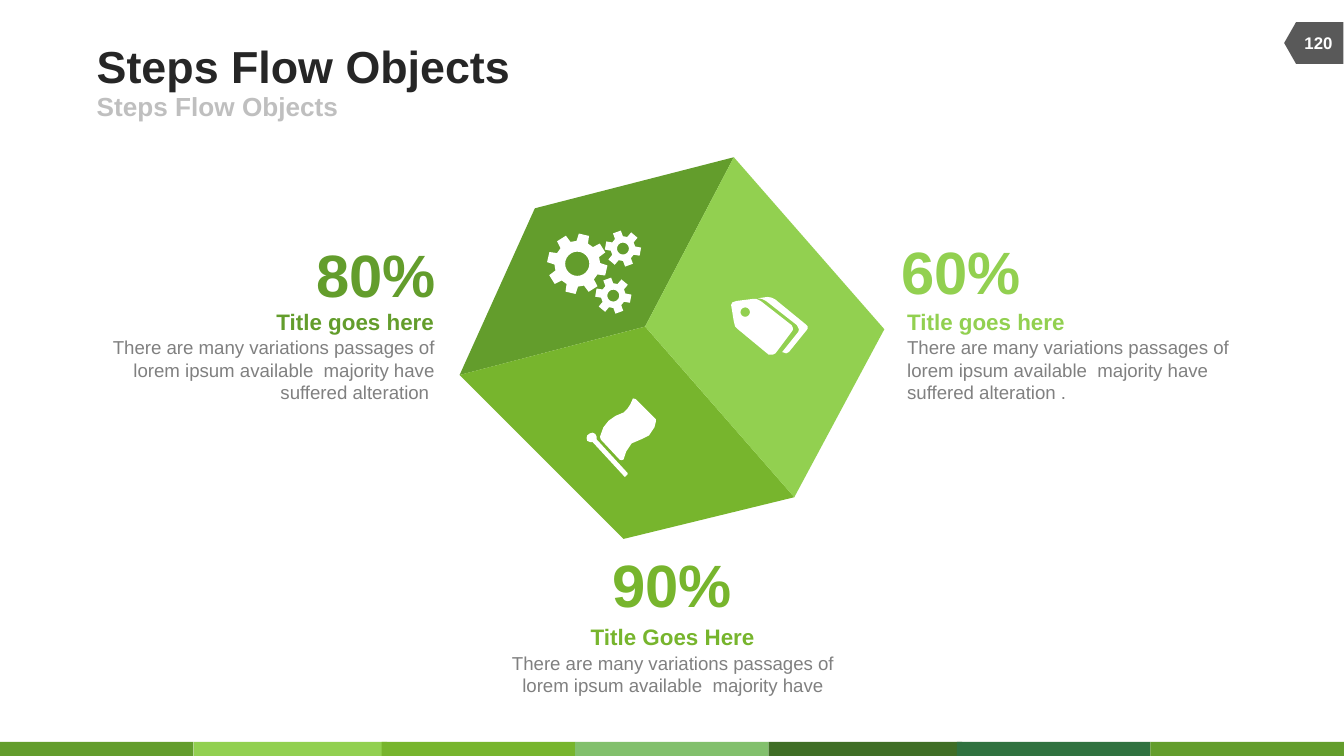
from math import cos, sin, radians

from pptx import Presentation
from pptx.dml.color import RGBColor
from pptx.enum.shapes import MSO_SHAPE
from pptx.enum.text import MSO_ANCHOR, PP_ALIGN
from pptx.util import Inches, Pt

THEME = {
    "font": "Arial",
    "colors": {
        "forest": "639D2C", "lime": "92D050", "grass": "77B52D", "sage": "82C06C",
        "moss": "406E26", "pine": "307240", "white": "FFFFFF", "marker": "595959",
        "title": "262626", "subtitle": "BFBFBF", "body": "808080",
    },
    "sizes": {"title": 24, "subtitle": 14, "page": 9, "number": 32, "heading": 12, "body": 10},
}

# All lengths are cells of a grid with 1000 columns across the slide
WIDTH = Inches(10)
HEIGHT = int(WIDTH * 9 / 16)
COLUMNS = 1000
CELL = WIDTH / COLUMNS

# Content
TITLE = SUBTITLE = "Steps Flow Objects"
PAGE = "120"
STEPS = [
    {"number": "80%", "number_at": (235, 176), "heading": "Title goes here",
     "body": "There are many variations passages of lorem ipsum available  majority have"
             "\vsuffered alteration ",
     "color": "forest", "align": PP_ALIGN.RIGHT, "left": 78, "top": 229, "width": 245},
    {"number": "60%", "number_at": (670, 174), "heading": "Title goes here",
     "body": "There are many variations passages of lorem ipsum available  majority have "
             "suffered alteration .",
     "color": "lime", "align": PP_ALIGN.LEFT, "left": 675, "top": 229, "width": 254},
    {"number": "90%", "number_at": (455, 407), "heading": "Title Goes Here",
     "body": "There are many variations passages of lorem ipsum available  majority have",
     "color": "grass", "align": PP_ALIGN.CENTER, "left": 366, "top": 464, "width": 269},
]
FOOTER = [(0, "forest"), (144, "lime"), (284, "grass"), (428, "sage"),
          (572, "moss"), (712, "pine"), (856, "forest")]

# Cube corners, shared by the three faces
TOP, RIGHT, LOWER_RIGHT, BOTTOM = (546, 117), (658, 245), (591, 370), (464, 401)
LEFT, UPPER_LEFT, CENTER = (342, 279), (398, 155), (480, 243)
FACES = [
    ("forest", [TOP, CENTER, LEFT, UPPER_LEFT]),
    ("grass", [CENTER, LOWER_RIGHT, BOTTOM, LEFT]),
    ("lime", [CENTER, TOP, RIGHT, LOWER_RIGHT]),
]

# Gears: center x, center y, tip radius, root radius, hole radius, teeth, first angle
GEARS = [
    (429.5, 196.3, 22.5, 17, 9, 8, 13),
    (463.5, 185, 13.5, 9.2, 4.4, 6, 10),
    (456.3, 220, 13.5, 9.2, 4.4, 6, 10),
]
FLAG = [
    # pole with knob
    [(444, 327), (467, 352), (467, 353), (466, 354), (465, 355), (441, 329), (439, 329),
     (437, 328), (436.5, 326), (437, 324), (439, 322.5), (441, 322), (443, 323), (444, 325)],
    # cloth
    [(488, 314), (487, 318), (483, 324), (477, 327), (470, 330), (466, 336), (464, 342),
     (462.5, 342.5), (461, 342), (447, 327), (446.5, 325), (449, 318), (453, 313), (458, 309.5),
     (464, 307), (467, 304), (469, 301), (471, 296.5), (473, 297), (488, 312)],
]
TAGS_FRONT = [
    [(589, 247), (577, 263), (575, 264), (572, 264), (549, 245), (547, 243), (546, 239),
     (544, 227), (545, 225), (548, 224), (560, 222.5), (563, 222.5), (566, 224),
     (589, 242), (590, 244), (590, 245.5)],
]
TAG_BACK = [
    [(600, 246), (587, 262), (585, 263), (582, 262), (594, 247), (594.5, 245), (593, 242),
     (570, 224), (567, 222.5), (564, 222), (571, 221), (574, 221.5), (577, 223),
     (599, 241), (601, 243), (601, 244.5)],
]
TAG_HOLE = (554.5, 232.3, 3.5)


def color(name):
    return RGBColor.from_string(THEME["colors"][name])


def cells(*values):
    return [round(v * CELL) for v in values]


def polar(cx, cy, radius, angle):
    return cx + radius * cos(radians(angle)), cy + radius * sin(radians(angle))


def circle(cx, cy, radius):
    return [polar(cx, cy, radius, a) for a in range(0, 360, 15)]


def gear(cx, cy, tip, root, hole, teeth, start):
    pitch = 360 / teeth
    profile = [(-0.33, root), (-0.22, tip), (0.22, tip), (0.33, root)]
    outline = [polar(cx, cy, radius, start + (i + share) * pitch)
               for i in range(teeth) for share, radius in profile]
    return [outline, circle(cx, cy, hole)]


def paint(sp, fill):
    sp.shadow.inherit = False
    sp.fill.solid()
    sp.fill.fore_color.rgb = color(fill)
    sp.line.fill.background()
    return sp


def add_preset(s, kind, box, fill):
    return paint(s.shapes.add_shape(kind, *cells(*box)), fill)


def add_outline(s, contours, fill):
    builder = None
    for contour in contours:
        points = [cells(*point) for point in contour]
        if builder is None:
            builder = s.shapes.build_freeform(*points[0], scale=1.0)
        else:
            builder.move_to(*points[0])
        builder.add_line_segments(points[1:], close=True)
    return paint(builder.convert_to_shape(), fill)


def add_text(s, box, text, role, fill, align=PP_ALIGN.LEFT, anchor=MSO_ANCHOR.TOP, wrap=False):
    tf = s.shapes.add_textbox(*cells(*box)).text_frame
    tf.margin_left = tf.margin_right = tf.margin_top = tf.margin_bottom = 0
    tf.word_wrap = wrap
    tf.vertical_anchor = anchor
    p = tf.paragraphs[0]
    p.text = text
    p.alignment = align
    p.font.name = THEME["font"]
    p.font.size = Pt(THEME["sizes"][role])
    p.font.bold = role != "body"
    p.font.color.rgb = color(fill)


def main():
    prs = Presentation()
    prs.slide_width, prs.slide_height = WIDTH, HEIGHT
    s = prs.slides.add_slide(prs.slide_layouts[6])

    # Footer band
    for left, fill in FOOTER:
        add_preset(s, MSO_SHAPE.RECTANGLE, (left, 552, 144, 10.5), fill)

    # Header and page marker
    add_text(s, (72, 29, 617, 39), TITLE, "title", "title", anchor=MSO_ANCHOR.MIDDLE)
    add_text(s, (72, 68, 450, 22), SUBTITLE, "subtitle", "subtitle", anchor=MSO_ANCHOR.MIDDLE)
    marker = add_preset(s, MSO_SHAPE.FLOWCHART_OFFPAGE_CONNECTOR, (962, 10, 31, 44), "marker")
    marker.rotation = 90
    add_text(s, (960, 17, 42, 30), PAGE, "page", "white", PP_ALIGN.CENTER, MSO_ANCHOR.MIDDLE)

    # Cube
    for fill, corners in FACES:
        add_outline(s, [corners], fill)

    # Icons on the faces
    add_outline(s, [contour for g in GEARS for contour in gear(*g)], "white")
    add_outline(s, FLAG, "white")
    add_outline(s, TAGS_FRONT + [circle(*TAG_HOLE)] + TAG_BACK, "white")

    # Number, heading and body of each step
    for step in STEPS:
        left, top, width = step["left"], step["top"], step["width"]
        add_text(s, (*step["number_at"], 90, 54), step["number"], "number", step["color"],
                 PP_ALIGN.CENTER, MSO_ANCHOR.BOTTOM)
        add_text(s, (left, top, width, 20), step["heading"], "heading", step["color"],
                 step["align"], wrap=True)
        add_text(s, (left, top + 21, width, 50), step["body"], "body", "body",
                 step["align"], wrap=True)

    prs.save("out.pptx")


if __name__ == "__main__":
    main()
